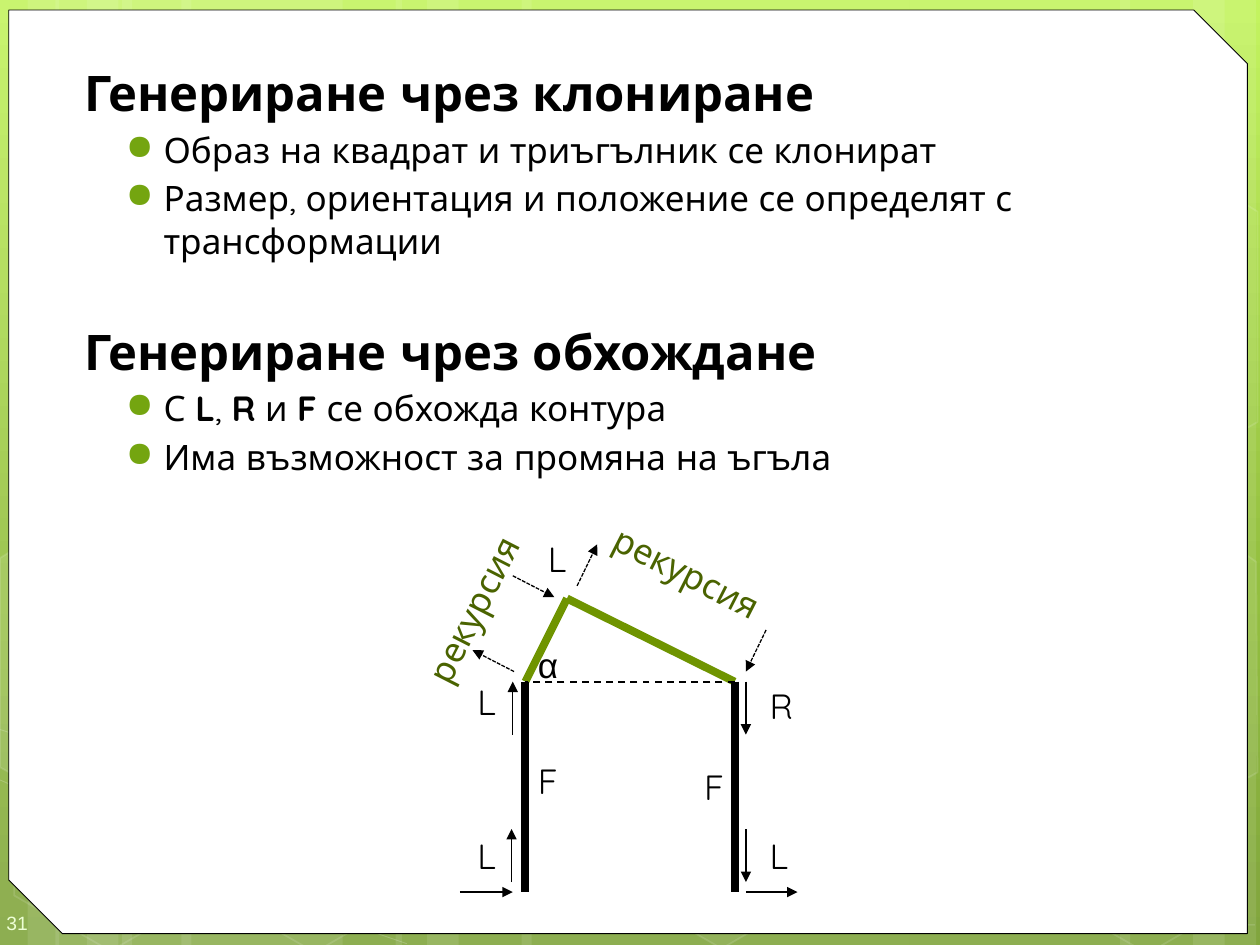
from copy import deepcopy
from dataclasses import dataclass
from typing import Optional

from lxml import etree
from pptx import Presentation
from pptx.dml.color import RGBColor
from pptx.enum.dml import MSO_LINE
from pptx.enum.shapes import MSO_CONNECTOR, MSO_SHAPE
from pptx.enum.text import MSO_ANCHOR
from pptx.oxml.ns import qn
from pptx.util import Inches, Pt

RECT, HEXAGON = MSO_SHAPE.RECTANGLE, MSO_SHAPE.HEXAGON
SNIPPED = MSO_SHAPE.SNIP_2_DIAG_RECTANGLE
STRAIGHT = MSO_CONNECTOR.STRAIGHT
DASH, SHORT_DASH = MSO_LINE.DASH, MSO_LINE.SQUARE_DOT
MIDDLE = MSO_ANCHOR.MIDDLE
BLACK, WHITE = "000000", "FFFFFF"
GREEN, DARK_GREEN, BULLET_GREEN = "6F9400", "4A6300", "74A510"
FONT = "Quicksand"


@dataclass
class Stroke:
    start: tuple[float, float]
    end: tuple[float, float]
    color: str = BLACK
    width: float = 0.75
    dash: Optional[MSO_LINE] = None
    arrow: bool = True


@dataclass
class Label:
    text: str
    left: float
    top: float
    width: float = 0.34
    rotation: float = 0
    color: str = BLACK
    font: str = FONT


@dataclass
class Outline:
    points: list[tuple[float, float]]
    opacity: int = 0
    line_opacity: int = 12
    line_width: float = 1
    closed: bool = True


@dataclass
class Line:
    runs: list[tuple[str, bool]]
    heading: bool = False
    before: float = 3.4


def rgb(color: str) -> RGBColor:
    return RGBColor.from_string(color)


def paint(fill, color: str, opacity: int = 100) -> None:
    if opacity == 0:
        fill.background()
        return
    fill.solid()
    fill.fore_color.rgb = rgb(color)
    if opacity < 100:
        tint = fill._xPr.find(qn("a:solidFill"))[0]
        etree.SubElement(tint, qn("a:alpha"), val=str(opacity * 1000))


def finish(shape, opacity: int, line_color: str = WHITE, line_opacity: int = 0, width: float = 1) -> None:
    shape.shadow.inherit = False
    paint(shape.fill, WHITE, opacity)
    paint(shape.line.fill, line_color, line_opacity)
    if line_opacity:
        shape.line.width = Pt(width)


def add_preset(slide, kind, left: float, top: float, width: float, height: float):
    return slide.shapes.add_shape(kind, Inches(left), Inches(top), Inches(width), Inches(height))


def add_outline(slide, outline: Outline) -> None:
    first, *rest = [(Inches(x), Inches(y)) for x, y in outline.points]
    builder = slide.shapes.build_freeform(*first)
    builder.add_line_segments(rest, close=outline.closed)
    finish(builder.convert_to_shape(), outline.opacity, line_opacity=outline.line_opacity,
           width=outline.line_width)


def add_stroke(slide, stroke: Stroke) -> None:
    ends = [Inches(v) for v in (*stroke.start, *stroke.end)]
    connector = slide.shapes.add_connector(STRAIGHT, *ends)
    paint(connector.line.fill, stroke.color)
    connector.line.width = Pt(stroke.width)
    if stroke.dash:
        connector.line.dash_style = stroke.dash
    if stroke.arrow:
        etree.SubElement(connector.line._ln, qn("a:tailEnd"), type="triangle")
    etree.SubElement(connector._element.spPr, qn("a:effectLst"))


def set_font(font, *, size: float, color: str, name: str, bold: bool = False) -> None:
    font.size, font.name, font.bold = Pt(size), name, bold
    font.color.rgb = rgb(color)


def add_text(slide, text: str, left: float, top: float, width: float, height: float, *,
             size: float = 20, color: str = BLACK, name: str = FONT, rotation: float = 0,
             wrap: bool = False):
    box = slide.shapes.add_textbox(Inches(left), Inches(top), Inches(width), Inches(height))
    box.rotation = rotation
    frame = box.text_frame
    frame.word_wrap = wrap
    if text:
        run = frame.paragraphs[0].add_run()
        run.text = text
        set_font(run.font, size=size, color=color, name=name)
    return frame


def fill_line(paragraph, line: Line) -> None:
    size = 28 if line.heading else 20
    margin, indent = (0.07, 0) if line.heading else (0.7, -0.3)
    props = paragraph._p.get_or_add_pPr()
    props.set("marL", str(Inches(margin)))
    props.set("indent", str(Inches(indent)))
    paragraph.line_spacing = Pt(34.3 if line.heading else 24.3)
    if line.before:
        paragraph.space_before = Pt(line.before)
    if not line.heading:
        bullet_color = etree.SubElement(props, qn("a:buClr"))
        etree.SubElement(bullet_color, qn("a:srgbClr"), val=BULLET_GREEN)
        etree.SubElement(props, qn("a:buChar"), char="●")
    for text, bold in line.runs:
        run = paragraph.add_run()
        run.text = text
        set_font(run.font, size=size, color=BLACK, name=FONT, bold=bold)


STRIPES = [(0.97, 1.75), (0, 0.47), (0.22, 0.83), (1.44, 1.75), (0.44, 0.5), (0.69, 0.83),
           (7.22, 1.75), (9.47, 0.5), (8.89, 0.83), (4.14, 3.08), (3.14, 0.5), (3.39, 0.83)]
HEXAGONS = [(4.85, 5.89, 6), (0, 5.91, 0), (1.62, 5.92, 0), (8.23, 5.93, 0)]
OUTLINES = [
    Outline([(0, 6.19), (1.15, 6.7), (2.3, 7.17), (3.23, 7.49)], 0, 20, 0.5, False),
    Outline([(0, 5.79), (1.17, 6.16), (3.45, 6.73), (6.17, 7.18), (8.41, 7.36), (9.96, 7.34)],
            0, 20, 0.5, False),
    Outline([(0, 4.43), (0.08, 4.38), (0.85, 4.82), (0.84, 5.7), (0.09, 6.14), (0, 6.09)], 10),
    Outline([(9.15, 4.85), (9.9, 4.41), (9.97, 4.46), (9.98, 6.13), (9.91, 6.17), (9.14, 5.73)], 4),
    Outline([(9.15, 2.07), (9.9, 1.63), (9.98, 1.68), (9.98, 3.35), (9.91, 3.39), (9.14, 2.95)]),
]
LINES = [
    Line([("Генериране чрез клониране", True)], True, 0),
    Line([("Образ на квадрат и триъгълник се клонират", False)]),
    Line([("Размер, ориентация и положение се определят с трансформации", False)]),
    Line([("Генериране чрез обхождане", True)], True, 33.7),
    Line([("С ", False), ("L", True), (", ", False), ("R", True), (" и ", False), ("F", True),
          (" се обхожда контура", False)]),
    Line([("Има възможност за промяна на ъгъла", False)]),
]
APEX, LEFT_EAVE, RIGHT_EAVE = (4.5, 4.75), (4.17, 5.41), (5.83, 5.41)
STROKES = [
    Stroke(APEX, RIGHT_EAVE, GREEN, 4.5, arrow=False),
    Stroke(LEFT_EAVE, APEX, GREEN, 4.5, arrow=False),
    Stroke(LEFT_EAVE, (4.17, 7.08), width=4.5, arrow=False),
    Stroke(RIGHT_EAVE, (5.83, 7.08), width=4.5, arrow=False),
    Stroke(RIGHT_EAVE, LEFT_EAVE, width=1, dash=DASH, arrow=False),
    Stroke((3.65, 7.08), (4.07, 7.08)),
    Stroke((4.06, 7), (4.06, 6.58)),
    Stroke((5.92, 6.58), (5.92, 7)),
    Stroke((5.92, 7.08), (6.33, 7.08)),
    Stroke((4.08, 5.33), (3.75, 5.16), dash=SHORT_DASH),
    Stroke((4.07, 4.57), (4.4, 4.74), dash=SHORT_DASH),
    Stroke((4.07, 5.83), (4.07, 5.41)),
    Stroke((4.58, 4.65), (4.74, 4.32), dash=SHORT_DASH),
    Stroke((6.08, 5), (5.92, 5.33), dash=SHORT_DASH),
    Stroke((5.92, 5.41), (5.92, 5.83)),
]
LABELS = [
    Label("рекурсия", 4.72, 4.35, 1.56, 27, DARK_GREEN),
    Label("рекурсия", 3, 4.57, 1.56, 297, DARK_GREEN),
    Label("L", 3.69, 6.57), Label("F", 4.17, 5.98), Label("L", 3.69, 5.35),
    Label("L", 4.25, 4.22), Label("R", 6.01, 5.38, 0.37), Label("L", 6.01, 6.57),
    Label("F", 5.49, 6.03), Label("α", 4.17, 5.06, 0.36, font="Arial"),
]


def add_backdrop(slide) -> None:
    fill = slide.background.fill
    fill.gradient()
    fill.gradient_angle = 270
    for stop, color in zip(fill.gradient_stops, ("C3F35F", "81A53E")):
        stop.color.rgb = rgb(color)
    first_stop = slide._element.find(".//" + qn("a:gs"))
    middle_stop = deepcopy(first_stop)
    middle_stop.set("pos", "62000")
    middle_stop[0].set("val", "93BF3F")
    first_stop.addnext(middle_stop)
    for left, width in STRIPES:
        finish(add_preset(slide, RECT, left, 0, width, 7.5), 10)
    for outline in OUTLINES:
        add_outline(slide, outline)
    for left, top, opacity in HEXAGONS:
        hexagon = add_preset(slide, HEXAGON, left, top, 1.75, 1.52)
        hexagon.rotation = 30
        hexagon.adjustments[0] = 0.285
        finish(hexagon, opacity, line_opacity=12)
    panel = add_preset(slide, SNIPPED, 0.07, 0.08, 9.83, 7.33)
    panel.adjustments[0], panel.adjustments[1] = 0, 0.058
    finish(panel, 100, BLACK, 100, 0.5)


def main() -> None:
    deck = Presentation()
    deck.slide_width, deck.slide_height = Inches(10), Inches(7.5)
    slide = deck.slides.add_slide(deck.slide_layouts[6])

    # Backdrop and slide number
    add_backdrop(slide)
    number = add_text(slide, "31", 0, 7.1, 0.58, 0.4, size=11, color="EEFFD6", name="Arial", wrap=True)
    number.vertical_anchor = MIDDLE
    number.margin_left, number.margin_right = Inches(0.05), 0
    number.margin_top, number.margin_bottom = Inches(0.15), Inches(0.1)

    # Headings and bullets
    body = add_text(slide, "", 0.5, 0.44, 9.42, 6.97, wrap=True)
    for index, line in enumerate(LINES):
        fill_line(body.add_paragraph() if index else body.paragraphs[0], line)

    # Traversal diagram
    for stroke in STROKES:
        add_stroke(slide, stroke)
    for label in LABELS:
        add_text(slide, label.text, label.left, label.top, label.width, 0.44,
                 color=label.color, name=label.font, rotation=label.rotation)

    deck.save("out.pptx")


if __name__ == "__main__":
    main()
